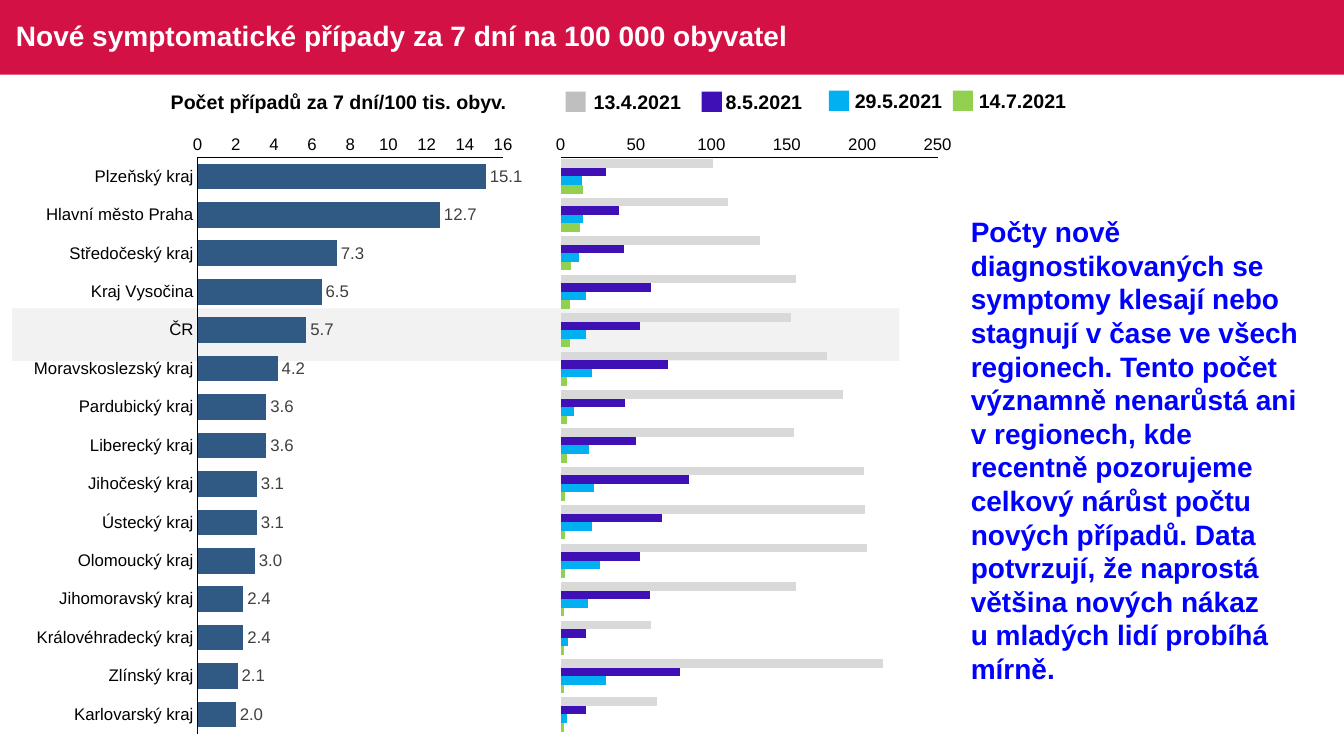
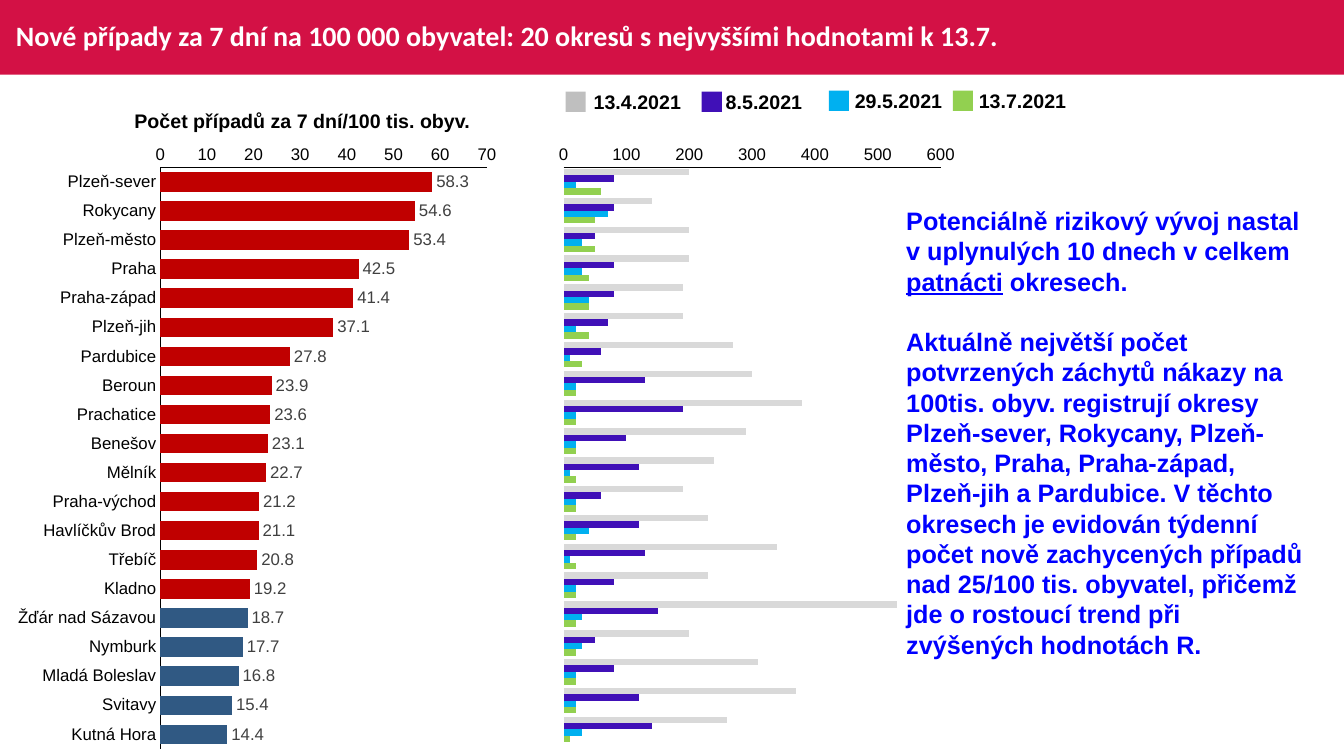
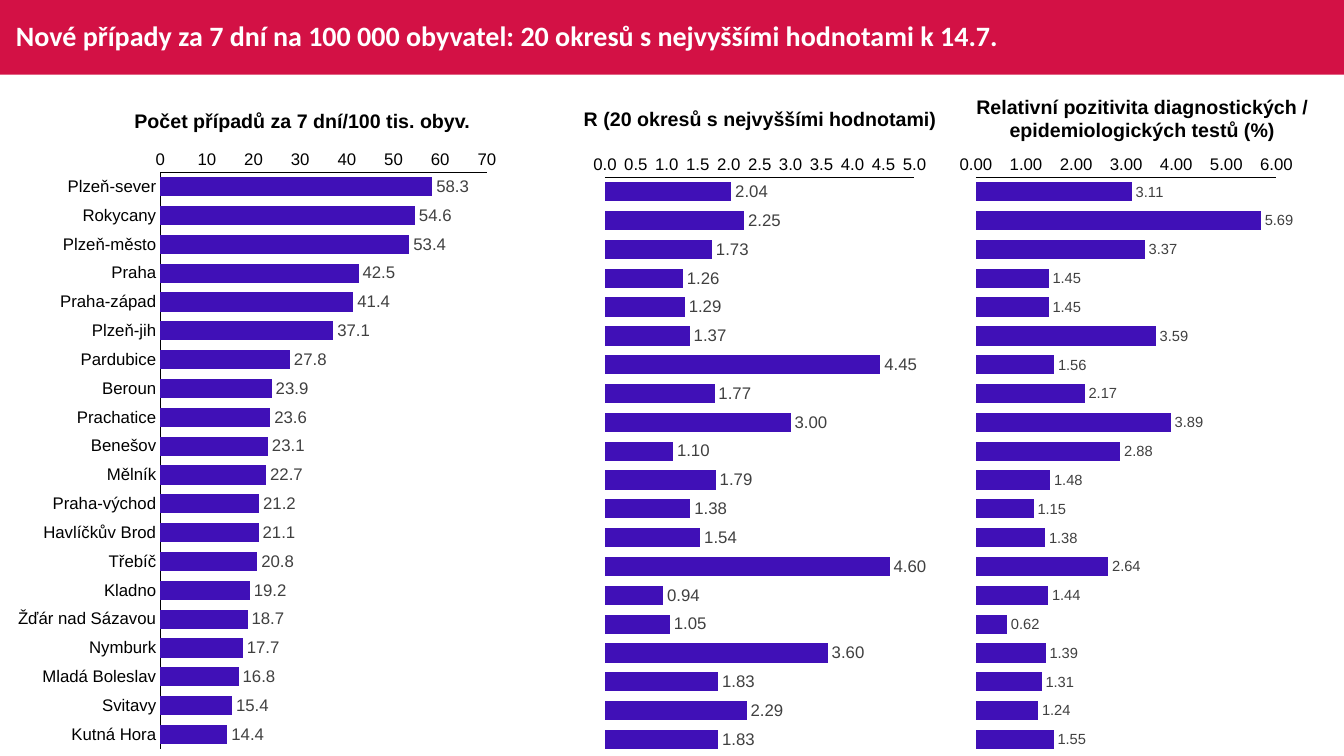
from lxml import etree
from pptx import Presentation
from pptx.chart.data import CategoryChartData
from pptx.dml.color import RGBColor
from pptx.enum.chart import XL_CHART_TYPE, XL_LABEL_POSITION, XL_TICK_MARK
from pptx.enum.shapes import MSO_SHAPE
from pptx.enum.text import MSO_ANCHOR, PP_ALIGN
from pptx.oxml import parse_xml
from pptx.oxml.ns import nsdecls, qn
from pptx.util import Inches, Pt

RECT = MSO_SHAPE.RECTANGLE
BARS = XL_CHART_TYPE.BAR_CLUSTERED
OUTSIDE_END = XL_LABEL_POSITION.OUTSIDE_END
NO_TICK = XL_TICK_MARK.NONE
LEFT, CENTER = PP_ALIGN.LEFT, PP_ALIGN.CENTER
TOP, MIDDLE = MSO_ANCHOR.TOP, MSO_ANCHOR.MIDDLE

CRIMSON = RGBColor(0xD3, 0x11, 0x45)
WHITE = RGBColor(0xFF, 0xFF, 0xFF)
BLACK = RGBColor(0, 0, 0)
LABEL_GRAY = RGBColor(0x40, 0x40, 0x40)
HIGHLIGHT = RGBColor(0xF2, 0xF2, 0xF2)
SWATCH_GRAY = RGBColor(0xBF, 0xBF, 0xBF)
BAR_GRAY = RGBColor(0xD9, 0xD9, 0xD9)
STEEL = RGBColor(0x30, 0x59, 0x83)
RED = RGBColor(0xC0, 0, 0)
VIOLET = RGBColor(0x40, 0x10, 0xB7)
SKY = RGBColor(0, 0xB0, 0xF0)
GREEN = RGBColor(0x92, 0xD0, 0x50)
COMMENT_BLUE = RGBColor(0, 0, 0xFF)

RATE_HEADING = "Počet případů za 7 dní/100 tis. obyv."
DATES = ["13.4.2021", "8.5.2021", "29.5.2021"]
DATE_COLORS = [BAR_GRAY, VIOLET, SKY, GREEN]


def add_text(slide, text, left, top, width, height, size=14, font="Arial",
             color=BLACK, align=LEFT, anchor=TOP, wrap=True,
             spacing=None, gap=0):
    """Bold text: newline = paragraph, vertical tab = line break, _word_ = underlined."""
    frame = slide.shapes.add_textbox(
        Inches(left), Inches(top), Inches(width), Inches(height)).text_frame
    frame.word_wrap = wrap
    frame.vertical_anchor = anchor
    for number, content in enumerate(text.split("\n")):
        paragraph = frame.add_paragraph() if number else frame.paragraphs[0]
        paragraph.alignment = align
        if spacing:
            paragraph.line_spacing = spacing
        if number:
            paragraph.space_before = Pt(gap)
        for line_number, line in enumerate(content.split("\v")):
            if line_number:
                paragraph.add_line_break()
            for part_number, part in enumerate(line.split("_")):
                run = paragraph.add_run()
                run.text = part
                run.font.name = font
                run.font.size = Pt(size)
                run.font.bold = True
                run.font.color.rgb = color
                if part_number % 2:
                    run.font.underline = True


def add_bars(slide, categories, series, colors, left, top, width, height,
             plot_left, plot_right, maximum, unit, axis_format="General",
             label_format=None, label_size=12, named=False):
    """Bar chart read from the top down; plot_left and plot_right are slide positions."""
    data = CategoryChartData()
    data.categories = categories
    for name, values in series:
        data.add_series(name, values)
    chart = slide.shapes.add_chart(
        BARS, Inches(left), Inches(top), Inches(width), Inches(height), data).chart
    chart.has_title = False
    chart.has_legend = False
    chart.font.name = "Arial"
    chart.font.size = Pt(10)
    chart.font.color.rgb = BLACK

    chart.category_axis.reverse_order = True
    chart.category_axis.visible = named
    chart.value_axis.minimum_scale = 0
    chart.value_axis.maximum_scale = maximum
    chart.value_axis.major_unit = unit
    chart.value_axis.tick_labels.number_format = axis_format
    chart.value_axis.tick_labels.number_format_is_linked = False
    for axis in (chart.category_axis, chart.value_axis):
        axis.has_major_gridlines = False
        axis.major_tick_mark = axis.minor_tick_mark = NO_TICK
        if axis.visible:
            axis.tick_labels.font.name = "Arial"
            axis.tick_labels.font.size = Pt(12)
            axis.tick_labels.font.color.rgb = BLACK
            axis.format.line.color.rgb = BLACK
            axis.format.line.width = Pt(0.75)

    plot = chart.plots[0]
    plot.gap_width = 50
    plot.vary_by_categories = False
    for bars, color in zip(plot.series, colors):
        bars.invert_if_negative = False
        bars.format.fill.solid()
        bars.format.fill.fore_color.rgb = color
    if label_format:
        plot.has_data_labels = True
        labels = plot.data_labels
        labels.show_value = True
        labels.position = OUTSIDE_END
        labels.number_format = label_format
        labels.number_format_is_linked = False
        labels.font.name = "Arial"
        labels.font.size = Pt(label_size)
        labels.font.color.rgb = LABEL_GRAY

    # Fixed inner plot area and transparent backgrounds
    plot_area = chart.element.find(".//" + qn("c:plotArea"))
    for layout in plot_area.findall(qn("c:layout")):
        plot_area.remove(layout)
    layout = parse_xml(f"<c:layout {nsdecls('c')}><c:manualLayout/></c:layout>")
    for tag, value in (("layoutTarget", "inner"), ("xMode", "edge"), ("yMode", "edge"),
                       ("x", (plot_left - left) / width), ("y", 0.34 / height),
                       ("w", (plot_right - plot_left) / width),
                       ("h", (height - 0.47) / height)):
        etree.SubElement(layout[0], qn("c:" + tag)).set("val", str(value))
    plot_area.insert(0, layout)
    no_fill = (f"<c:spPr {nsdecls('c', 'a')}><a:noFill/>"
               "<a:ln><a:noFill/></a:ln></c:spPr>")
    plot_area.append(parse_xml(no_fill))
    chart.element.find(qn("c:chart")).addnext(parse_xml(no_fill))
    return chart


prs = Presentation()
prs.slide_width, prs.slide_height = Inches(13.33), Inches(7.5)
blank = prs.slide_layouts[6]

# Shared: title band on the layout, then title text on each slide
titles = [
    ("Nové symptomatické případy za 7 dní na 100 000 obyvatel", "Arial"),
    ("Nové případy za 7 dní na 100 000 obyvatel: 20 okresů s nejvyššími hodnotami k 13.7.",
     "Calibri"),
    ("Nové případy za 7 dní na 100 000 obyvatel: 20 okresů s nejvyššími hodnotami k 14.7.",
     "Calibri"),
]
slides = [prs.slides.add_slide(blank) for _ in titles]
regions_slide, trend_slide, districts_slide = slides

band = regions_slide.shapes.add_shape(RECT, 0, 0, prs.slide_width, Inches(0.74))
highlight = regions_slide.shapes.add_shape(
    RECT, Inches(0.12), Inches(3.06), Inches(8.8), Inches(0.52))
for shape, color in ((band, CRIMSON), (highlight, HIGHLIGHT)):
    shape.shadow.inherit = False
    shape.fill.solid()
    shape.fill.fore_color.rgb = color
    shape.line.fill.background()
blank.shapes.element.append(band.element)

for slide, (title, font) in zip(slides, titles):
    add_text(slide, title, 0.06, 0, 13.06, 0.74, size=20, font=font,
             color=WHITE, anchor=MIDDLE, spacing=0.9)

# Legends of the two slides that compare dates
for slide, last_date in ((regions_slide, "14.7.2021"), (trend_slide, "13.7.2021")):
    legend = zip(DATES + [last_date], [SWATCH_GRAY, VIOLET, SKY, GREEN],
                 [5.61, 6.96, 8.22, 9.45], [5.79, 7.1, 8.38, 9.61],
                 [0.91, 0.91, 0.9, 0.9])
    for date, color, swatch_left, date_left, top in legend:
        swatch = slide.shapes.add_shape(
            RECT, Inches(swatch_left), Inches(top), Inches(0.2), Inches(0.2))
        swatch.shadow.inherit = False
        swatch.fill.solid()
        swatch.fill.fore_color.rgb = color
        swatch.line.fill.background()
        add_text(slide, date, date_left, top - 0.07, 1.07, 0.34, wrap=False)

for slide, left, top in ((regions_slide, 1.59, 0.84), (trend_slide, 1.23, 1.03),
                         (districts_slide, 1.23, 1.03)):
    add_text(slide, RATE_HEADING, left, top, 3.54, 0.34, align=CENTER, wrap=False)

# Slide 1: regions
regions = ["Plzeňský kraj", "Hlavní město Praha", "Středočeský kraj", "Kraj Vysočina",
           "ČR", "Moravskoslezský kraj", "Pardubický kraj", "Liberecký kraj",
           "Jihočeský kraj", "Ústecký kraj", "Olomoucký kraj", "Jihomoravský kraj",
           "Královéhradecký kraj", "Zlínský kraj", "Karlovarský kraj"]
region_rates = [15.1, 12.7, 7.3, 6.5, 5.7, 4.2, 3.6, 3.6, 3.1, 3.1, 3, 2.4, 2.4, 2.1, 2]
region_history = [
    [101, 111, 132, 156, 153, 177, 187, 155, 201, 202, 203, 156, 60, 214, 64],
    [30, 39, 42, 60, 53, 71, 43, 50, 85, 67, 53, 59, 17, 79, 17],
    [14, 15, 12, 17, 17, 21, 9, 19, 22, 21, 26, 18, 5, 30, 4],
    [15, 13, 7, 6, 6, 4, 4, 4, 3, 3, 3, 2, 2, 2, 2],
]
add_bars(regions_slide, regions, [(RATE_HEADING, region_rates)], [STEEL],
         0.25, 1.22, 4.94, 6.19, 1.96, 4.99, 16, 2, axis_format="#,##0",
         label_format="#,##0.0", named=True)
add_bars(regions_slide, [str(n + 1) for n in range(len(regions))],
         list(zip(DATES + ["14.7.2021"], region_history)), DATE_COLORS,
         5.43, 1.22, 4.09, 6.19, 5.56, 9.3, 250, 50)
add_text(regions_slide,
         "Počty nově diagnostikovaných se symptomy klesají nebo stagnují v čase ve všech "
         "regionech. Tento počet významně nenarůstá ani v regionech, kde recentně "
         "pozorujeme celkový nárůst počtu nových případů. Data potvrzují, že naprostá "
         "většina nových nákaz \vu mladých lidí probíhá mírně.",
         9.53, 2.08, 3.59, 4.81, size=20, color=COMMENT_BLUE)

# Slide 2: districts over time
districts = ["Plzeň-sever", "Rokycany", "Plzeň-město", "Praha", "Praha-západ",
             "Plzeň-jih", "Pardubice", "Beroun", "Prachatice", "Benešov", "Mělník",
             "Praha-východ", "Havlíčkův Brod", "Třebíč", "Kladno", "Žďár nad Sázavou",
             "Nymburk", "Mladá Boleslav", "Svitavy", "Kutná Hora"]
district_numbers = [str(n + 1) for n in range(len(districts))]
district_rates = [58.3, 54.6, 53.4, 42.5, 41.4, 37.1, 27.8, 23.9, 23.6, 23.1,
                  22.7, 21.2, 21.1, 20.8, 19.2, 18.7, 17.7, 16.8, 15.4, 14.4]
district_history = [
    [200, 140, 200, 200, 190, 190, 270, 300, 380, 290,
     240, 190, 230, 340, 230, 530, 200, 310, 370, 260],
    [80, 80, 50, 80, 80, 70, 60, 130, 190, 100,
     120, 60, 120, 130, 80, 150, 50, 80, 120, 140],
    [20, 70, 30, 30, 40, 20, 10, 20, 20, 20, 10, 20, 40, 10, 20, 30, 30, 20, 20, 30],
    [60, 50, 50, 40, 40, 40, 30, 20, 20, 20, 20, 20, 20, 20, 20, 20, 20, 20, 20, 10],
]
risk_chart = add_bars(
    trend_slide, districts, [(RATE_HEADING, district_rates)], [STEEL],
    0.08, 1.32, 4.94, 6.24, 1.59, 4.83, 70, 10, label_format="#,##0.0", named=True)
for risky in range(15):
    fill = risk_chart.plots[0].series[0].points[risky].format.fill
    fill.solid()
    fill.fore_color.rgb = RED
add_bars(trend_slide, district_numbers,
         list(zip(DATES + ["13.7.2021"], district_history)), DATE_COLORS,
         5.46, 1.32, 4.09, 6.19, 5.59, 9.33, 600, 100)
add_text(trend_slide,
         "Potenciálně rizikový vývoj nastal v uplynulých 10 dnech v celkem _patnácti_ "
         "okresech.\n"
         "Aktuálně největší počet potvrzených záchytů nákazy na 100tis. obyv. registrují "
         "okresy Plzeň-sever, Rokycany, Plzeň-město, Praha, Praha-západ, Plzeň-jih a "
         "Pardubice. V těchto okresech je evidován týdenní počet nově zachycených případů "
         "nad 25/100 tis. obyvatel, přičemž jde o rostoucí trend při zvýšených hodnotách R.",
         8.89, 1.99, 4.23, 4.64, size=18, color=COMMENT_BLUE, gap=21.6)

# Slide 3: districts with reproduction number and positivity
reproduction = [2.04, 2.25, 1.73, 1.26, 1.29, 1.37, 4.45, 1.77, 3, 1.1,
                1.79, 1.38, 1.54, 4.6, 0.94, 1.05, 3.6, 1.83, 2.29, 1.83]
positivity = [3.11, 5.69, 3.37, 1.45, 1.45, 3.59, 1.56, 2.17, 3.89, 2.88,
              1.48, 1.15, 1.38, 2.64, 1.44, 0.62, 1.39, 1.31, 1.24, 1.55]
r_heading = "R (20 okresů s nejvyššími hodnotami)"
positivity_heading = "Relativní pozitivita diagnostických / epidemiologických testů (%)"
add_bars(districts_slide, districts, [(RATE_HEADING, district_rates)], [VIOLET],
         0.08, 1.37, 4.94, 6.19, 1.59, 4.83, 70, 10, label_format="#,##0.0", named=True)
add_bars(districts_slide, district_numbers, [(r_heading, reproduction)], [VIOLET],
         5.81, 1.42, 3.44, 6.19, 6, 9.07, 5, 0.5, axis_format="#,##0.0",
         label_format="#,##0.00")
add_bars(districts_slide, district_numbers, [(positivity_heading, positivity)], [VIOLET],
         9.45, 1.42, 3.44, 6.19, 9.68, 12.66, 6, 1, axis_format="#,##0.00",
         label_format="#,##0.00", label_size=10.5)
add_text(districts_slide, r_heading, 5.66, 1.01, 3.76, 0.34, align=CENTER, wrap=False)
add_text(districts_slide, positivity_heading, 9.45, 0.89, 3.76, 0.57, align=CENTER)

prs.save("out.pptx")
